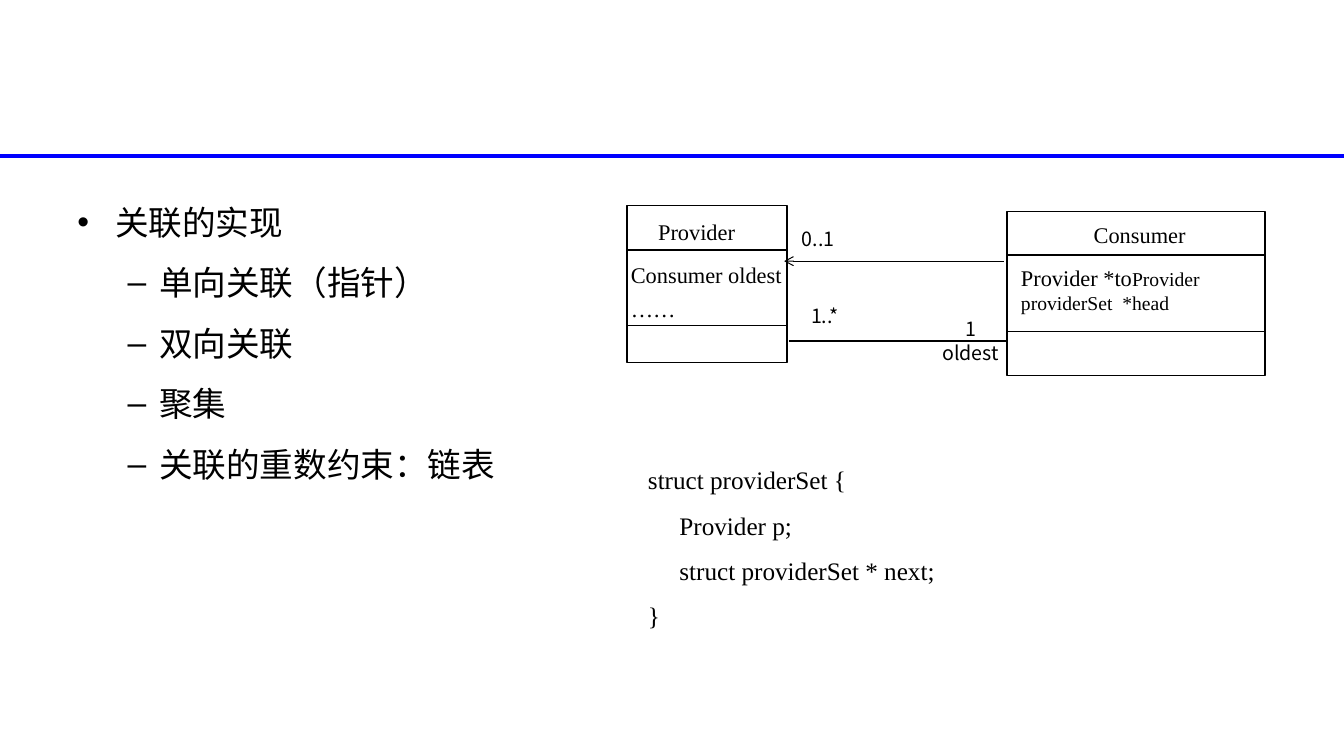
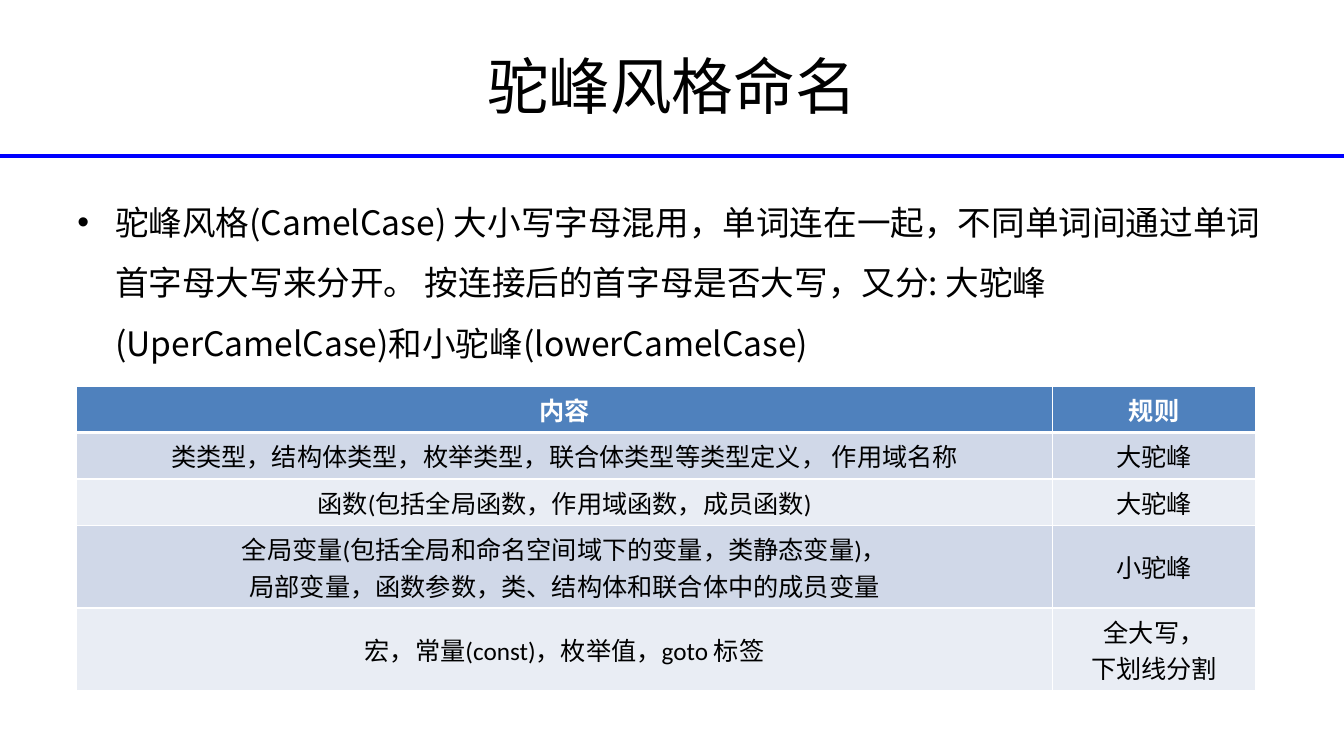
import dataclasses

import lxml.etree
import pptx
import pptx.dml.color
import pptx.enum.shapes
import pptx.enum.text
import pptx.oxml.ns
import pptx.util

Cm = pptx.util.Cm
Pt = pptx.util.Pt
qn = pptx.oxml.ns.qn
RGB = pptx.dml.color.RGBColor.from_string
ALIGN = pptx.enum.text.PP_ALIGN
ANCHOR = pptx.enum.text.MSO_ANCHOR


@dataclasses.dataclass(frozen=True)
class Theme:
    black: str = "000000"
    white: str = "FFFFFF"
    rule: str = "0000FF"
    header: str = "4F81BD"
    bands: tuple = ("D0D8E8", "E9EDF4")
    cjk: str = "Noto Sans CJK SC"
    heading: str = "Calibri"
    serif: str = "Times New Roman"
    title_size: int = 44
    body_size: int = 24
    code_size: int = 18
    table_size: int = 18
    class_size: int = 16
    label_size: int = 14


theme = Theme()


def write_text(frame, lines, size, font, color=theme.black, align=ALIGN.LEFT,
               spacing=None, bold=False):
    frame.text = "\n".join(lines)
    for paragraph in frame.paragraphs:
        paragraph.alignment = align
        if spacing:
            paragraph.line_spacing = spacing
        for run in paragraph.runs:
            run.font.size = Pt(size)
            run.font.name = font
            run.font.bold = bold
            run.font.color.rgb = RGB(color)
            east_asian = lxml.etree.Element(qn("a:ea"), typeface=theme.cjk)
            run.font._element.find(qn("a:latin")).addnext(east_asian)


def add_line(shapes, x1, y1, x2, y2, color=theme.black, width=1):
    line = shapes.add_connector(pptx.enum.shapes.MSO_CONNECTOR.STRAIGHT,
                                Cm(x1), Cm(y1), Cm(x2), Cm(y2))
    line.line.color.rgb = RGB(color)
    line.line.width = Pt(width)
    lxml.etree.SubElement(line._element.spPr, qn("a:effectLst"))
    return line


presentation = pptx.Presentation()
presentation.slide_width = Cm(33.87)
presentation.slide_height = Cm(19.05)

bodies = [
    (11.66, [("•", "关联的实现"), ("–", "单向关联（指针）"), ("–", "双向关联"),
             ("–", "聚集"), ("–", "关联的重数约束：链表")]),
    (30.48, [("•", "驼峰风格(CamelCase) 大小写字母混用，单词连在一起，不同单词间通过"
                   "单词首字母大写来分开。 按连接后的首字母是否大写，又分: "
                   "大驼峰(UperCamelCase)和小驼峰(lowerCamelCase)")]),
]
indents = {"•": (0, 0.95, -0.95), "–": (1, 2.06, -0.79)}

for body_width, items in bodies:
    slide = presentation.slides.add_slide(presentation.slide_layouts[6])
    add_line(slide.shapes, 0, 3.94, 33.87, 3.94, theme.rule, 3)
    body = slide.shapes.add_textbox(Cm(1.7), Cm(4.45), Cm(body_width), Cm(12.57))
    body.text_frame.word_wrap = True
    write_text(body.text_frame, [text for _, text in items],
               theme.body_size, theme.cjk, spacing=1.5)
    for paragraph, (bullet, _) in zip(body.text_frame.paragraphs, items):
        level, margin, indent = indents[bullet]
        paragraph.level = level
        properties = paragraph._p.get_or_add_pPr()
        properties.set("marL", str(Cm(margin)))
        properties.set("indent", str(Cm(indent)))
        lxml.etree.SubElement(properties, qn("a:buFont"), typeface="Arial")
        lxml.etree.SubElement(properties, qn("a:buChar"), char=bullet)

association_slide, naming_slide = presentation.slides

classes = [
    ("Provider", (15.8, 5.18, 4.04, 3.96), (6.3, 8.2), (16.26, 5.36, 2.59, 0.91)),
    ("Consumer", (25.38, 5.33, 6.5, 4.14), (6.43, 8.36), (25.48, 5.44, 6.48, 0.91)),
]
for name, (left, top, width, height), dividers, name_place in classes:
    group = association_slide.shapes.add_group_shape()
    box = group.shapes.add_shape(pptx.enum.shapes.MSO_SHAPE.RECTANGLE,
                                 Cm(left), Cm(top), Cm(width), Cm(height))
    box.shadow.inherit = False
    box.fill.solid()
    box.fill.fore_color.rgb = RGB(theme.white)
    box.line.color.rgb = RGB(theme.black)
    box.line.width = Pt(1)
    for divider in dividers:
        add_line(group.shapes, left, divider, left + width, divider)
    name_box = group.shapes.add_textbox(*map(Cm, name_place))
    name_box.text_frame.word_wrap = True
    write_text(name_box.text_frame, [name], theme.class_size, theme.serif,
               align=ALIGN.CENTER)

add_line(association_slide.shapes, 19.89, 8.59, 25.35, 8.59)
arrow = add_line(association_slide.shapes, 25.3, 6.58, 19.76, 6.58, width=0.75)
lxml.etree.SubElement(arrow.line._get_or_add_ln(), qn("a:tailEnd"), type="arrow")

labels = [
    (["1", "oldest"], (23.47, 7.87, 1.98, 1.42), ALIGN.CENTER),
    (["1..*"], (20.19, 7.54, 1.5, 0.84), ALIGN.LEFT),
    (["0..1"], (19.96, 5.59, 1.5, 0.84), ALIGN.LEFT),
]
for lines, place, align in labels:
    label = association_slide.shapes.add_textbox(*map(Cm, place))
    label.text_frame.word_wrap = False
    write_text(label.text_frame, lines, theme.label_size, theme.cjk, align=align)

members = association_slide.shapes.add_textbox(Cm(25.48), Cm(6.53), Cm(6.4), Cm(1.52))
members.text_frame.word_wrap = True
write_text(members.text_frame, ["Provider *to", "providerSet  *head"],
           theme.label_size, theme.serif)
pointer = members.text_frame.paragraphs[0]
pointer.runs[0].font.size = Pt(theme.class_size)
target = pointer.add_run()
target.text = "Provider"
target.font.size = Pt(theme.label_size)
target.font.name = theme.serif
target.font.color.rgb = RGB(theme.black)

listings = [
    (["Consumer oldest", "……"], (15.9, 6.71, 4.32, 1.42), theme.class_size, 0.8, 9),
    (["struct providerSet {", "     Provider p;",
      "     struct providerSet * next;", "}"],
     (16.33, 11.33, 11.4, 5.18), theme.code_size, 1.5, 0),
]
for lines, place, size, spacing, gap in listings:
    listing = association_slide.shapes.add_textbox(*map(Cm, place))
    frame = listing.text_frame
    frame.word_wrap = True
    frame.margin_left = frame.margin_right = frame.margin_top = frame.margin_bottom = 0
    write_text(frame, lines, size, theme.serif, spacing=spacing)
    for paragraph in frame.paragraphs[1:]:
        paragraph.space_before = Pt(gap)

title = naming_slide.shapes.add_textbox(Cm(1.7), Cm(0.56), Cm(30.48), Cm(3.18))
title.text_frame.word_wrap = True
title.text_frame.vertical_anchor = ANCHOR.MIDDLE
write_text(title.text_frame, ["驼峰风格命名"], theme.title_size, theme.heading,
           align=ALIGN.CENTER)

rules = [
    (["内容"], ["规则"]),
    (["类类型，结构体类型，枚举类型，联合体类型等类型定义， 作用域名称"], ["大驼峰"]),
    (["函数(包括全局函数，作用域函数，成员函数)"], ["大驼峰"]),
    (["全局变量(包括全局和命名空间域下的变量，类静态变量)，",
      "局部变量，函数参数，类、结构体和联合体中的成员变量"], ["小驼峰"]),
    (["宏，常量(const)，枚举值，goto 标签"], ["全大写，", "下划线分割"]),
]
table = naming_slide.shapes.add_table(len(rules), 2, Cm(1.93), Cm(9.73),
                                      Cm(29.72), Cm(7.67)).table
for column, width in zip(table.columns, (24.59, 5.13)):
    column.width = Cm(width)
for row_index, row in enumerate(rules):
    is_header = row_index == 0
    table.rows[row_index].height = Cm(1.17 if max(map(len, row)) == 1 else 2.08)
    for column_index, lines in enumerate(row):
        cell = table.cell(row_index, column_index)
        cell.vertical_anchor = ANCHOR.MIDDLE
        write_text(cell.text_frame, lines, theme.table_size, theme.heading,
                   theme.white if is_header else theme.black, ALIGN.CENTER,
                   bold=is_header)
        for side in "LRTB":
            is_thick = (row_index, side) in ((0, "B"), (1, "T"))
            border = lxml.etree.SubElement(cell._tc.get_or_add_tcPr(), qn("a:ln" + side),
                                           w=str(Pt(3 if is_thick else 1)))
            fill = lxml.etree.SubElement(border, qn("a:solidFill"))
            lxml.etree.SubElement(fill, qn("a:srgbClr"), val=theme.white)
        cell.fill.solid()
        cell.fill.fore_color.rgb = RGB(
            theme.header if is_header else theme.bands[(row_index - 1) % 2])

presentation.save("out.pptx")
